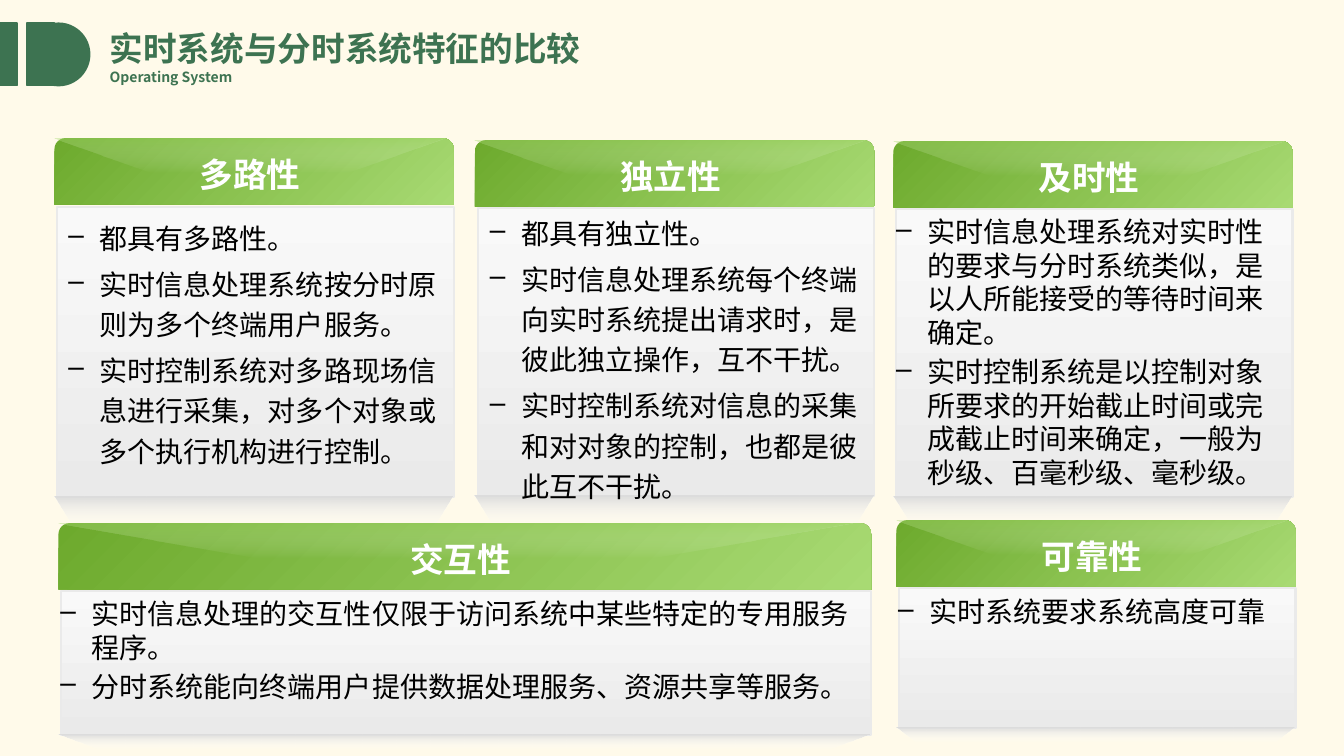
from lxml import etree
from pptx import Presentation
from pptx.dml.color import RGBColor
from pptx.enum.shapes import MSO_SHAPE as Shape
from pptx.enum.text import MSO_ANCHOR as Anchor, PP_ALIGN as Align
from pptx.oxml.ns import qn
from pptx.util import Inches, Pt

TITLE = "实时系统与分时系统特征的比较"
SUBTITLE = "Operating System"
CARDS = [
    {"heading": "多路性", "at": (0.54, 1.37), "width": 3.96, "body": (2.05, 2.88), "foot": 0.3,
     "text_at": (0.58, 2.08, 3.88, 2.66), "spacing": 1.2,
     "points": ["都具有多路性。",
                "实时信息处理系统按分时原则为多个终端用户服务。",
                "实时控制系统对多路现场信息进行采集，对多个对象或多个执行机构进行控制。"]},
    {"heading": "独立性", "at": (4.71, 1.39), "width": 3.96, "body": (2.06, 2.86), "foot": 0.3,
     "text_at": (4.76, 2.03, 3.88, 3.06), "spacing": 1.2,
     "points": ["都具有独立性。",
                "实时信息处理系统每个终端向实时系统提出请求时，是彼此独立操作，互不干扰。",
                "实时控制系统对信息的采集和对对象的控制，也都是彼此互不干扰。"]},
    {"heading": "及时性", "at": (8.86, 1.4), "width": 3.96, "body": (2.07, 2.86), "foot": 0.29,
     "text_at": (8.79, 2.08, 4.04, 2.86), "spacing": 1.0,
     "points": ["实时信息处理系统对实时性的要求与分时系统类似，是以人所能接受的等待时间来确定。",
                "实时控制系统是以控制对象所要求的开始截止时间或完成截止时间来确定，一般为秒级、百毫秒级、毫秒级。"]},
    {"heading": "交互性", "at": (0.58, 5.19), "width": 8.06, "body": (5.86, 1.43), "foot": 0.14,
     "text_at": (0.5, 5.87, 8.13, 1.18), "spacing": 1.0,
     "points": ["实时信息处理的交互性仅限于访问系统中某些特定的专用服务程序。",
                "分时系统能向终端用户提供数据处理服务、资源共享等服务。"]},
    {"heading": "可靠性", "at": (8.89, 5.16), "width": 3.96, "body": (5.83, 1.39), "foot": 0.14,
     "text_at": (8.81, 5.85, 4.04, 0.44), "spacing": 1.0,
     "points": ["实时系统要求系统高度可靠"]},
]

FONT = "Noto Sans CJK SC"
CREAM = RGBColor(0xFF, 0xFA, 0xEA)
GREEN = RGBColor(0x3D, 0x73, 0x51)
LEAF = RGBColor(0x6D, 0xAA, 0x2D)
LIME = RGBColor(0xA8, 0xDA, 0x73)
PALE = RGBColor(0xF9, 0xF9, 0xF9)
SILVER = RGBColor(0xEA, 0xEA, 0xEA)
GREY = RGBColor(0xDD, 0xDD, 0xDD)
WHITE = RGBColor(0xFF, 0xFF, 0xFF)
BLACK = RGBColor(0, 0, 0)

TITLE_FONT = {"name": FONT, "size": Pt(24), "bold": True}
SUBTITLE_FONT = {"name": FONT, "size": Pt(10), "bold": True}
BODY_FONT = {"name": FONT, "size": Pt(20), "bold": False}
INDENT = Inches(0.31)

presentation = Presentation()
presentation.slide_width, presentation.slide_height = Inches(13.33), Inches(7.5)
slide = presentation.slides.add_slide(presentation.slide_layouts[6])
slide.background.fill.solid()
slide.background.fill.fore_color.rgb = CREAM


def add_preset(kind, *box):
    shape = slide.shapes.add_shape(kind, *map(Inches, box))
    shape.shadow.inherit = False
    shape.line.fill.background()
    return shape


def add_outline(points):
    corners = [(Inches(x), Inches(y)) for x, y in points]
    builder = slide.shapes.build_freeform(*corners[0])
    builder.add_line_segments(corners[1:], close=True)
    shape = builder.convert_to_shape()
    shape.shadow.inherit = False
    shape.line.fill.background()
    return shape


def add_trapezoid(x, y, width, height, inset):
    return add_outline([(x, y), (x + inset, y + height),
                        (x + width - inset, y + height), (x + width, y)])


def set_line(shape, color, width):
    shape.line.color.rgb = color
    shape.line.width = Pt(width)


def set_gradient(shape, angle, colors, alphas=(100, 100)):
    shape.fill.gradient()
    shape.fill.gradient_angle = 360 - angle
    for stop, color, alpha in zip(shape.fill.gradient_stops, colors, alphas):
        stop.color.rgb = color
    if alphas != (100, 100):
        for node, alpha in zip(shape.element.spPr.iter(qn("a:srgbClr")), alphas):
            etree.SubElement(node, qn("a:alpha"), val=str(alpha * 1000))


def add_bullet(paragraph):
    properties = paragraph._p.get_or_add_pPr()
    properties.set("marL", str(INDENT))
    properties.set("indent", str(-INDENT))
    etree.SubElement(properties, qn("a:buChar"), char="–")


def add_text(box, lines, formats, color, align=Align.LEFT, spacing=1.0, wrap=False, bullets=False):
    frame = slide.shapes.add_textbox(*map(Inches, box)).text_frame
    frame.word_wrap = wrap
    frame.vertical_anchor = Anchor.TOP
    for index, line in enumerate(lines):
        paragraph = frame.paragraphs[0] if index == 0 else frame.add_paragraph()
        if bullets:
            add_bullet(paragraph)
        paragraph.alignment = align
        paragraph.line_spacing = spacing
        if index:
            paragraph.space_before = Pt(4)
        run = paragraph.add_run()
        run.text = line
        for name, value in formats.items():
            setattr(run.font, name, value)
        run.font.color.rgb = color
        etree.SubElement(run.font._element, qn("a:ea"), typeface=FONT)


def add_card(card):
    x, y = card["at"]
    width = card["width"]
    body_top, body_height = card["body"]
    header = add_preset(Shape.ROUND_2_SAME_RECTANGLE, x, y, width, 0.66)
    set_gradient(header, 45, (LEAF, LIME))
    shine_width = width * 0.977
    shine = add_trapezoid(x, y, shine_width, 0.34, shine_width / 4)
    set_gradient(shine, 90, (LIME, WHITE), (40, 0))
    add_text((x - 0.04, y + 0.11, width, 0.5), [card["heading"]], TITLE_FONT, WHITE,
             align=Align.CENTER, wrap=True)
    body = add_preset(Shape.RECTANGLE, x + 0.03, body_top, width - 0.03, body_height)
    set_gradient(body, 90, (PALE, SILVER))
    set_line(body, SILVER, 1.5)
    foot = add_trapezoid(x, body_top + body_height, width - 0.01, card["foot"], width / 20)
    set_gradient(foot, 90, (GREY, WHITE), (100, 0))
    add_text(card["text_at"], card["points"], BODY_FONT, BLACK,
             spacing=card["spacing"], wrap=True, bullets=True)


for kind, left, width in [(Shape.RECTANGLE, 0, 0.17), (Shape.RECTANGLE, 0.27, 0.27),
                          (Shape.OVAL, 0.27, 0.62)]:
    mark = add_preset(kind, left, 0.23, width, 0.62)
    mark.fill.solid()
    mark.fill.fore_color.rgb = GREEN
    set_line(mark, GREEN, 1)

add_text((0.99, 0.23, 4.91, 0.5), [TITLE], TITLE_FONT, GREEN)
add_text((0.99, 0.63, 1.47, 0.27), [SUBTITLE], SUBTITLE_FONT, GREEN)
for card in CARDS:
    add_card(card)

presentation.save("out.pptx")
